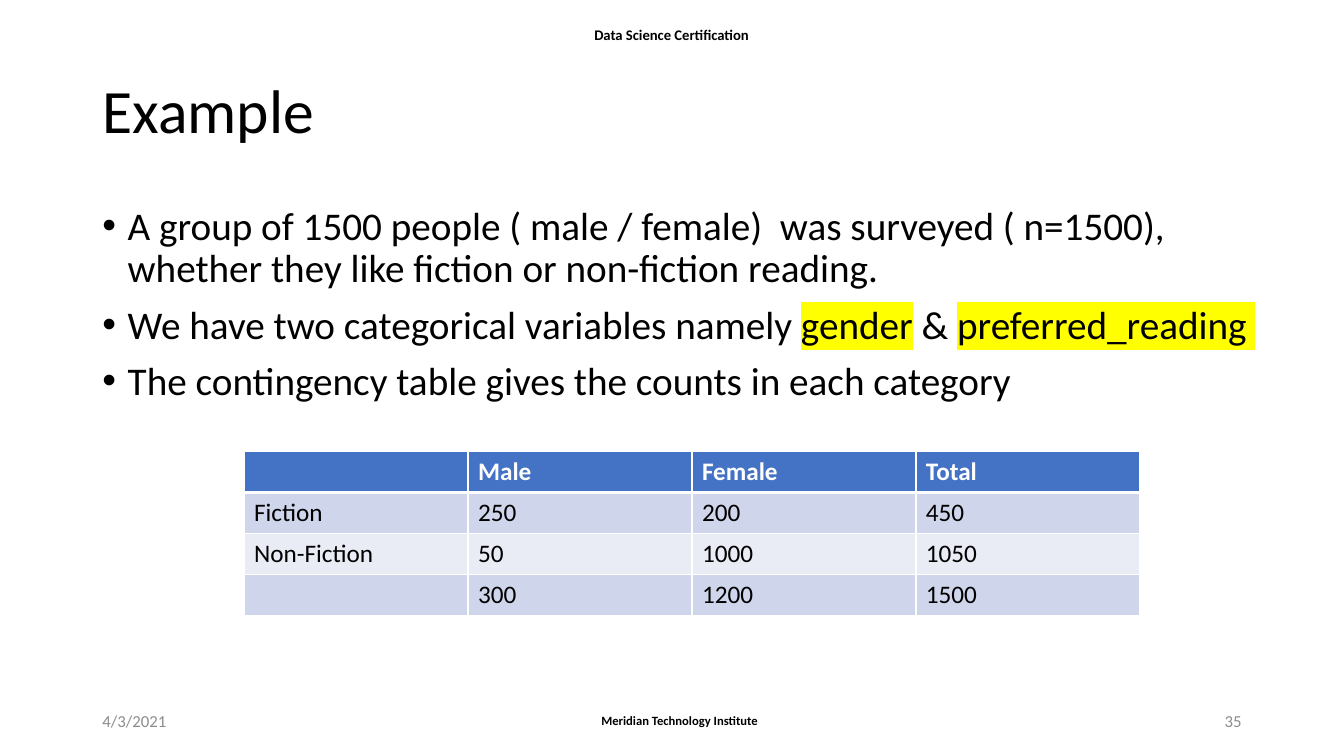
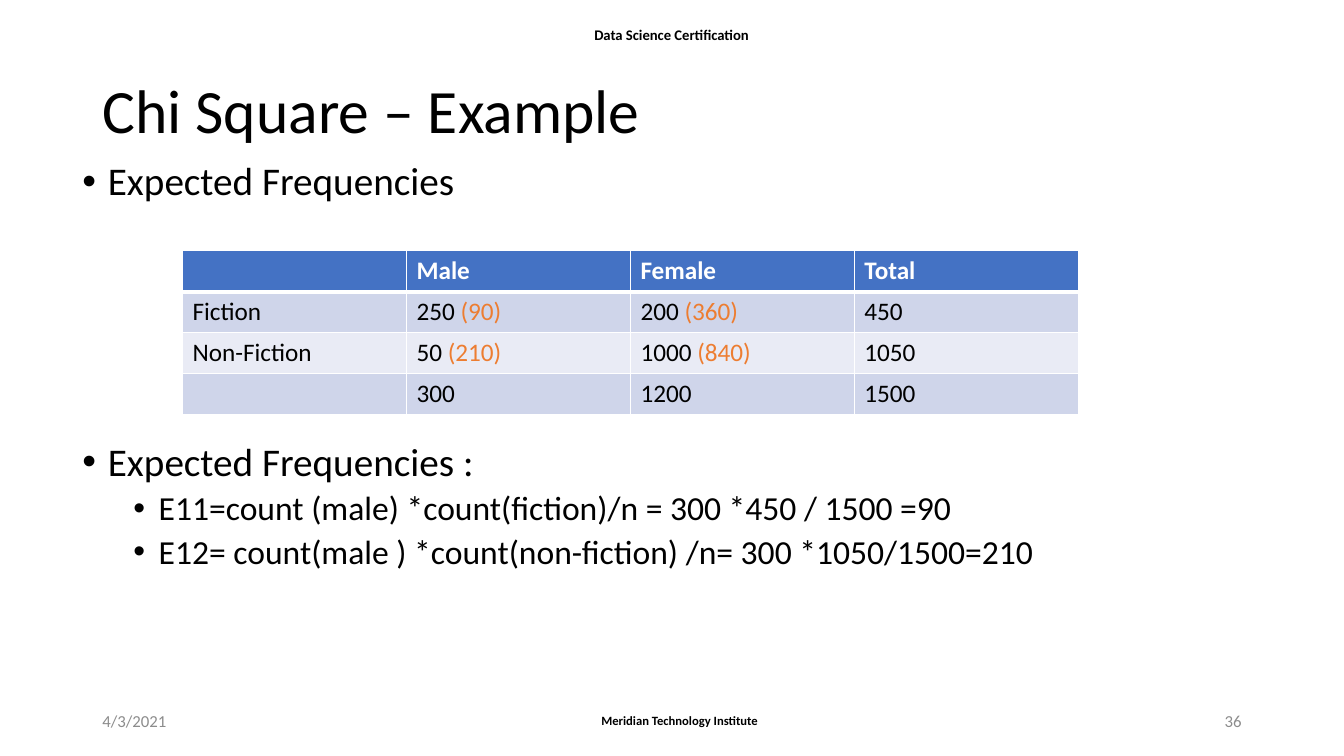
from lxml import etree
from pptx import Presentation
from pptx.dml.color import RGBColor
from pptx.enum.text import MSO_ANCHOR, MSO_AUTO_SIZE, PP_ALIGN
from pptx.oxml.ns import qn
from pptx.util import Cm, Pt

LEFT, CENTER, RIGHT = PP_ALIGN.LEFT, PP_ALIGN.CENTER, PP_ALIGN.RIGHT
TOP, MIDDLE = MSO_ANCHOR.TOP, MSO_ANCHOR.MIDDLE
NO_AUTOFIT = MSO_AUTO_SIZE.NONE
TITLE_ONLY = 5

FONT = "Calibri"
COLORS = {
    "text": "000000",
    "muted": "8C8C8C",
    "white": "FFFFFF",
    "header": "4472C4",
    "band_dark": "CFD5EA",
    "band_light": "E9EBF5",
    "expected": "ED7D31",
    "highlight": "FFFF00",
}

TITLE_BOX = (2.33, 1.02, 29.21, 3.68)
TABLE_SIZE = (22.58, 4.12)
BULLET_STEP = 0.64
BULLET_LEVELS = [
    {"size": 28, "before": 10, "margin": BULLET_STEP},
    {"size": 24, "before": 5, "margin": 3 * BULLET_STEP},
]

# text, box, alignment, font size, bold, colour
RUNNING_TEXTS = [
    ("Meridian Technology Institute", (14.71, 17.65, 4.83, 1.01), CENTER, 9, True, "text"),
    ("Data Science Certification", (13.94, 0.38, 5.97, 1.01), CENTER, 10.5, True, "text"),
    ("4/3/2021", (2.33, 17.65, 7.62, 1.01), LEFT, 12, False, "muted"),
]
NUMBER_BOX = (23.92, 17.65, 7.62, 1.01)


def color(name):
    return RGBColor.from_string(COLORS[name])


def set_attributes(target, **values):
    for name, value in values.items():
        setattr(target, name, value)


def add_color(parent, tag, name):
    """Append a colour-holding element such as a:solidFill."""
    element = etree.SubElement(parent, qn(tag))
    etree.SubElement(element, qn("a:srgbClr"), val=COLORS[name])
    return element


def add_span(para, text, size, bold=False, ink="text", highlight=None):
    span = para.add_run()
    span.text = text
    set_attributes(span.font, size=Pt(size), bold=bold, name=FONT)
    span.font.color.rgb = color(ink)
    if highlight:
        properties = span.font._element
        mark = add_color(properties, "a:highlight", highlight)
        properties.find(qn("a:latin")).addprevious(mark)


def add_spans(para, content, size, **style):
    """Fill a paragraph from a string or a list of (text, style) pairs."""
    spans = [(content, {})] if isinstance(content, str) else content
    for text, extra in spans:
        add_span(para, text, size, **{**style, **extra})


def add_text_box(page, box, anchor):
    frame = page.shapes.add_textbox(*map(Cm, box)).text_frame
    set_attributes(frame, word_wrap=True, auto_size=NO_AUTOFIT, vertical_anchor=anchor)
    return frame


def add_running_text(page, text, box, alignment, size, bold, ink):
    para = add_text_box(page, box, MIDDLE).paragraphs[0]
    para.alignment = alignment
    add_span(para, text, size, bold, ink)


def add_page(deck, title, number):
    """Add a slide with its title, running header and footer."""
    page = deck.slides.add_slide(deck.slide_layouts[TITLE_ONLY])
    for item in RUNNING_TEXTS:
        add_running_text(page, *item)
    add_running_text(page, str(number), NUMBER_BOX, RIGHT, 12, False, "muted")

    holder = page.shapes.title
    left, top, width, height = map(Cm, TITLE_BOX)
    set_attributes(holder, left=left, top=top, width=width, height=height)
    set_attributes(holder.text_frame, word_wrap=True, auto_size=NO_AUTOFIT,
                   vertical_anchor=MIDDLE)
    para = holder.text_frame.paragraphs[0]
    set_attributes(para, alignment=LEFT, line_spacing=0.9)
    add_span(para, title, 44)
    return page


def add_bullets(page, box, items):
    """Place (level, content, space before or None) items as a bulleted list."""
    frame = add_text_box(page, box, TOP)
    for index, (level, content, before) in enumerate(items):
        style = BULLET_LEVELS[level]
        para = frame.add_paragraph() if index else frame.paragraphs[0]
        set_attributes(para, level=level, alignment=LEFT, line_spacing=0.9,
                       space_before=Pt(before or style["before"]))
        properties = para._p.get_or_add_pPr()
        properties.set("marL", str(Cm(style["margin"])))
        properties.set("indent", str(-Cm(BULLET_STEP)))
        etree.SubElement(properties, qn("a:buFont"), typeface="Arial")
        etree.SubElement(properties, qn("a:buChar"), char="•")
        add_spans(para, content, style["size"])


def set_borders(cell, **widths):
    """Draw white borders; widths in points for sides L, R, T and B."""
    properties = cell._tc.get_or_add_tcPr()
    for side in "LRTB":
        line = etree.SubElement(properties, qn("a:ln" + side),
                                w=str(Pt(widths.get(side, 1))))
        add_color(line, "a:solidFill", "white")


def add_counts_table(page, left, top, rows):
    width, height = TABLE_SIZE
    table = page.shapes.add_table(len(rows), len(rows[0]), Cm(left), Cm(top),
                                  Cm(width), Cm(height)).table
    for row_index, row in enumerate(rows):
        is_header = row_index == 0
        band = "band_dark" if row_index % 2 else "band_light"
        edges = {0: {"B": 3}, 1: {"T": 3}}.get(row_index, {})
        for column, content in enumerate(row):
            cell = table.cell(row_index, column)
            set_borders(cell, **edges)
            cell.fill.solid()
            cell.fill.fore_color.rgb = color("header" if is_header else band)
            if content:
                add_spans(cell.text_frame.paragraphs[0], content, 18, bold=is_header,
                          ink="white" if is_header else "text")


def count_rows(expected=None):
    """Return the contingency table, with expected counts where given."""
    rows = [
        ["", "Male", "Female", "Total"],
        ["Fiction", "250", "200", "450"],
        ["Non-Fiction", "50", "1000", "1050"],
        ["", "300", "1200", "1500"],
    ]
    for (row, column), value in (expected or {}).items():
        rows[row][column] = [(rows[row][column] + " ", {}),
                             (f"({value})", {"ink": "expected"})]
    return rows


def build_survey_page(deck):
    page = add_page(deck, "Example", 35)
    marked = {"highlight": "highlight"}
    add_bullets(page, (2.33, 5.08, 30.35, 5.41), [
        (0, "A group of 1500 people ( male / female)  was surveyed ( n=1500), "
            "whether they like fiction or non-fiction reading.", None),
        (0, [("We have two categorical variables namely ", {}), ("gender", marked),
             (" & ", {}), ("preferred_reading ", marked)], None),
        (0, "The contingency table gives the counts in each category", None),
    ])
    add_counts_table(page, 6.15, 11.38, count_rows())


def build_expected_page(deck):
    page = add_page(deck, "Chi Square – Example", 36)
    add_bullets(page, (1.83, 3.96, 29.21, 12.09), [
        (0, "Expected Frequencies", None),
        (0, "Expected Frequencies :", 170),
        (1, "E11=count (male) *count(fiction)/n = 300 *450 / 1500 =90", None),
        (1, "E12= count(male ) *count(non-fiction) /n= 300 *1050/1500=210", None),
    ])
    expected = {(1, 1): 90, (1, 2): 360, (2, 1): 210, (2, 2): 840}
    add_counts_table(page, 4.6, 6.32, count_rows(expected))


def main():
    deck = Presentation()
    set_attributes(deck, slide_width=Cm(33.87), slide_height=Cm(19.05))
    build_survey_page(deck)
    build_expected_page(deck)
    deck.save("out.pptx")


if __name__ == "__main__":
    main()
